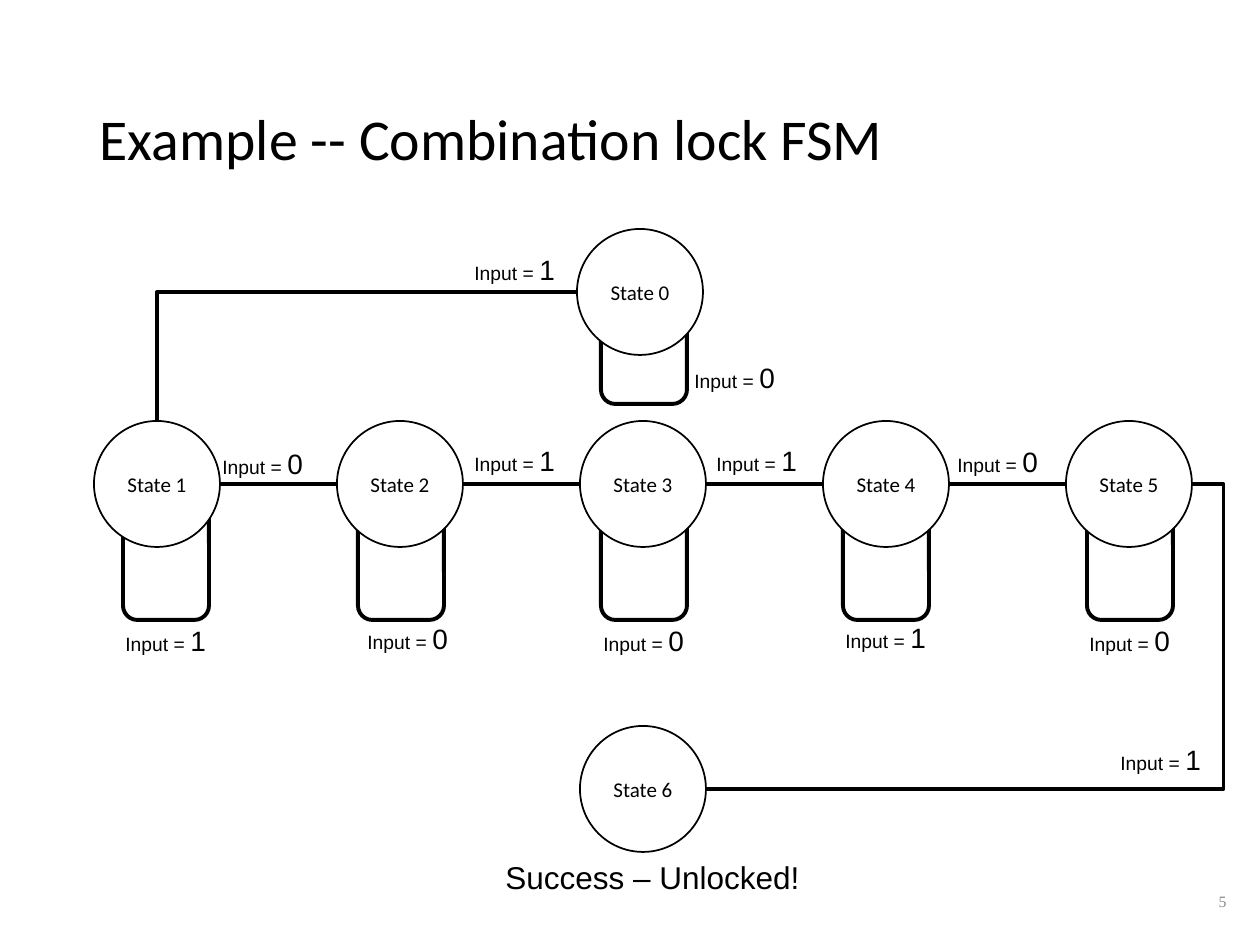
from lxml import etree
from pptx import Presentation
from pptx.dml.color import RGBColor
from pptx.enum.shapes import MSO_CONNECTOR, MSO_SHAPE
from pptx.enum.text import MSO_ANCHOR, MSO_AUTO_SIZE, PP_ALIGN
from pptx.oxml.ns import qn
from pptx.util import Emu, Pt

STRAIGHT, ELBOW = MSO_CONNECTOR.STRAIGHT, MSO_CONNECTOR.ELBOW
OVAL, ROUNDED = MSO_SHAPE.OVAL, MSO_SHAPE.ROUNDED_RECTANGLE
MIDDLE, TOP = MSO_ANCHOR.MIDDLE, MSO_ANCHOR.TOP
LEFT, CENTER, RIGHT = PP_ALIGN.LEFT, PP_ALIGN.CENTER, PP_ALIGN.RIGHT
NO_FIT, GROW = MSO_AUTO_SIZE.NONE, MSO_AUTO_SIZE.SHAPE_TO_FIT_TEXT

BLACK = RGBColor(0x00, 0x00, 0x00)
WHITE = RGBColor(0xFF, 0xFF, 0xFF)
GRAY = RGBColor(0x89, 0x89, 0x89)

TITLE = "Example -- Combination lock FSM"
OUTCOME = "Success – Unlocked!"
PAGE = "5"

DIAMETER = 126
RADIUS = DIAMETER // 2
ROW_LEFT, ROW_TOP, ROW_STEP = 94, 421, 243
STATES = {0: (577, 229), 6: (580, 726)}
STATES.update({n: (ROW_LEFT + ROW_STEP * (n - 1), ROW_TOP) for n in range(1, 6)})

LOOP_WIDTH, LOOP_HEIGHT, LOOP_TOP = 86, 126, 494
LOOP_LEFTS = [123, 358, 601, 843, 1087]
START_LOOP = (601, 318, LOOP_WIDTH, LOOP_WIDTH)

LABEL_SIZE = (106, 47)
INPUTS = [
    ("1", 462, 246), ("0", 682, 354),
    ("0", 210, 440), ("1", 462, 437), ("1", 704, 437), ("0", 945, 438),
    ("1", 113, 617), ("0", 355, 615), ("0", 591, 617), ("1", 833, 614), ("0", 1077, 617),
    ("1", 1108, 736),
]


def px(n):
    return Emu(round(n * 914400 / 126))


def box(*lengths):
    return [px(n) for n in lengths]


def style(paragraph, size, font, color, align):
    paragraph.alignment = align
    paragraph.font.name = font
    paragraph.font.color.rgb = color
    if size:
        paragraph.font.size = Pt(size)


def add_node(slide, preset, place, line_width):
    node = slide.shapes.add_shape(preset, *box(*place))
    node.shadow.inherit = False
    node.line.color.rgb = BLACK
    node.line.width = Pt(line_width)
    return node


def add_loop(slide, place):
    add_node(slide, ROUNDED, place, 2.25).fill.background()


def add_state(slide, number):
    state = add_node(slide, OVAL, (*STATES[number], DIAMETER, DIAMETER), 1)
    state.fill.solid()
    state.fill.fore_color.rgb = WHITE
    state.text_frame.text = f"State {number}"
    state.text_frame.vertical_anchor = MIDDLE
    style(state.text_frame.paragraphs[0], 12, "Calibri", BLACK, CENTER)


def add_link(slide, kind, *ends):
    link = slide.shapes.add_connector(kind, *box(*ends))
    link.line.color.rgb = BLACK
    link.line.width = Pt(2.25)
    etree.SubElement(link._element.spPr, qn("a:effectLst"))
    return link._element.spPr.find(qn("a:prstGeom"))


def add_note(slide, place, runs, font, color=BLACK, align=LEFT, anchor=TOP, fit=GROW):
    frame = slide.shapes.add_textbox(*box(*place)).text_frame
    frame.word_wrap = fit == NO_FIT
    frame.auto_size = fit
    frame.vertical_anchor = anchor
    paragraph = frame.paragraphs[0]
    style(paragraph, runs[0][1] if len(runs) == 1 else None, font, color, align)
    for text, size in runs:
        run = paragraph.add_run()
        run.text = text
        if len(runs) > 1:
            run.font.size = Pt(size)


def main():
    prs = Presentation()
    prs.slide_width, prs.slide_height = box(1260, 945)
    slide = prs.slides.add_slide(prs.slide_layouts[5])

    title = slide.shapes.title
    title.left, title.top, title.width, title.height = box(87, 50, 1087, 183)
    title.text_frame.text = TITLE
    title.text_frame.auto_size = NO_FIT
    title.text_frame.vertical_anchor = MIDDLE
    heading = title.text_frame.paragraphs[0]
    heading.line_spacing = 0.9
    style(heading, 33, "Calibri", BLACK, LEFT)

    for left in LOOP_LEFTS:
        add_loop(slide, (left, LOOP_TOP, LOOP_WIDTH, LOOP_HEIGHT))
    add_loop(slide, START_LOOP)
    for number in sorted(STATES):
        add_state(slide, number)

    row_middle = ROW_TOP + RADIUS
    for number in range(1, 5):
        add_link(slide, STRAIGHT, STATES[number][0] + DIAMETER, row_middle,
                 STATES[number + 1][0], row_middle)

    start_left, start_top = STATES[0]
    first_link = add_link(slide, ELBOW, start_left, start_top + RADIUS,
                          ROW_LEFT + RADIUS, ROW_TOP)
    first_link.set("prst", "bentConnector2")

    final_left, final_top = STATES[6]
    last_link = add_link(slide, ELBOW, STATES[5][0] + DIAMETER, row_middle,
                         final_left + DIAMETER, final_top + RADIUS)
    bend = etree.SubElement(last_link.find(qn("a:avLst")), qn("a:gd"))
    bend.set("name", "adj1")
    bend.set("fmla", "val -6500")

    for digit, left, top in INPUTS:
        add_note(slide, (left, top, *LABEL_SIZE), [("Input = ", 11), (digit, 16)], "Arial")
    add_note(slide, (493, 852, 319, 50), [(OUTCOME, 18)], "Arial")
    add_note(slide, (955, 876, 284, 50), [(PAGE, 9)], "Times New Roman",
             GRAY, RIGHT, MIDDLE, NO_FIT)

    prs.save("out.pptx")


if __name__ == "__main__":
    main()
